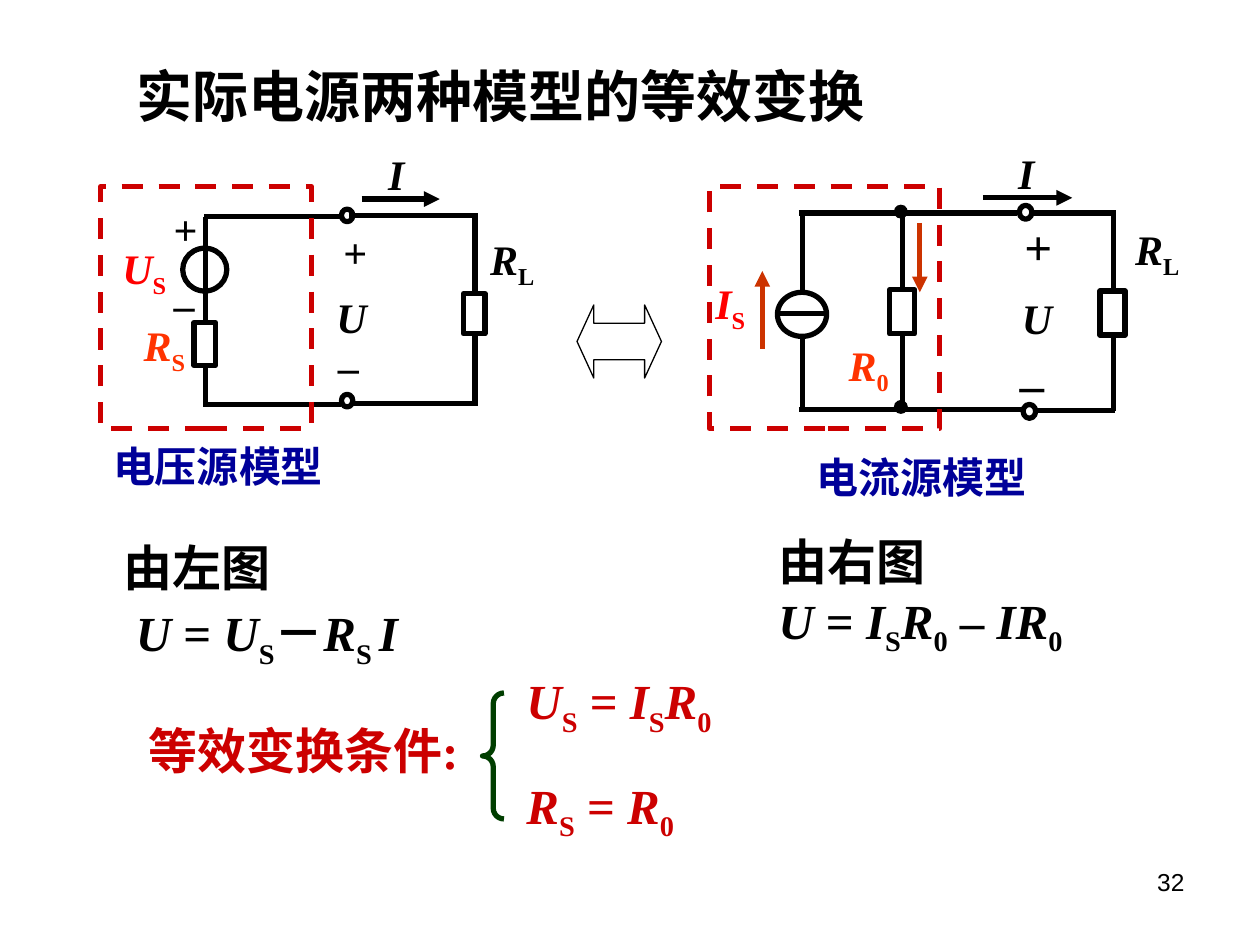
from dataclasses import dataclass

from lxml import etree
from pptx import Presentation
from pptx.dml.color import RGBColor
from pptx.enum.dml import MSO_LINE
from pptx.enum.shapes import MSO_CONNECTOR, MSO_SHAPE
from pptx.enum.text import MSO_ANCHOR, MSO_AUTO_SIZE, PP_ALIGN
from pptx.oxml.ns import qn
from pptx.util import Inches, Pt

LEFT, CENTER, RIGHT = PP_ALIGN.LEFT, PP_ALIGN.CENTER, PP_ALIGN.RIGHT
TOP, MIDDLE = MSO_ANCHOR.TOP, MSO_ANCHOR.MIDDLE
RECTANGLE, OVAL = MSO_SHAPE.RECTANGLE, MSO_SHAPE.OVAL


@dataclass(frozen=True)
class Theme:
    serif: str = "Times New Roman"
    sans: str = "Arial"
    black: str = "000000"
    red: str = "CC0000"
    source: str = "FF0000"
    resistor: str = "FF3300"
    current: str = "CC3300"
    caption: str = "000099"
    brace: str = "003E00"
    title: int = 32
    body: int = 28
    label: int = 24
    number: int = 14
    thick: float = 3
    thin: float = 0.75


theme = Theme()
presentation = Presentation()
presentation.slide_width, presentation.slide_height = Inches(10), Inches(7.5)
slide = presentation.slides.add_slide(presentation.slide_layouts[5])

# All places below are columns and rows of a 100 by 75 grid.
COLUMN = presentation.slide_width / 100
ROW = presentation.slide_height / 75


def grid(left, top, width, height):
    """Turn columns and rows into slide lengths."""
    return (round(left * COLUMN), round(top * ROW),
            round(width * COLUMN), round(height * ROW))


def write(box, lines, color=theme.black, size=theme.label, align=CENTER,
          anchor=MIDDLE, wrap=False, font=theme.serif, bold=True,
          spacing=None, gap=0, shape=None):
    """Write lines whose parts are split by |; / marks italic, _ subscript."""
    shape = shape or slide.shapes.add_textbox(*grid(*box))
    frame = shape.text_frame
    frame.word_wrap, frame.vertical_anchor = wrap, anchor
    frame.auto_size = MSO_AUTO_SIZE.NONE
    for index, line in enumerate(lines):
        paragraph = frame.add_paragraph() if index else frame.paragraphs[0]
        paragraph.alignment = align
        if spacing:
            paragraph.line_spacing = spacing
        if index and gap:
            paragraph.space_before = Pt(gap)
        paragraph.font.name, paragraph.font.size = font, Pt(size)
        paragraph.font.bold = bold
        paragraph.font.color.rgb = RGBColor.from_string(color)
        for part in line.split("|"):
            run = paragraph.add_run()
            run.text = part.lstrip("/_")
            if part.startswith("/"):
                run.font.italic = True
            elif part.startswith("_"):
                run._r.get_or_add_rPr().set("baseline", "-25000")
    return frame


# Title and slide number
title = slide.shapes.title
title.left, title.top, title.width, title.height = grid(9.8, 4.4, 66.8, 7.5)
write(None, ["实际电源两种模型的等效变换"], size=theme.title, align=LEFT,
      anchor=TOP, wrap=True, font=theme.sans, shape=title)
write((71.7, 68.3, 23.3, 5.2), ["32"], size=theme.number, align=RIGHT,
      anchor=TOP, wrap=True, font=theme.sans, bold=False)

# Wires and arrows: start column and row, end column and row
voltage_wires = [
    (37.7, 26.6, 37.7, 32.2), (37.7, 23.3, 37.7, 17.1),
    (27.7, 17.1, 37.9, 17.1), (27.9, 32, 37.9, 32),
    (16.3, 17.2, 16.3, 25.6), (16.3, 29, 16.3, 32.3),
    (16.2, 17.2, 27.1, 17.2), (16.3, 32.1, 27.1, 32.1),
]
current_wires = [
    (61.7, 24.9, 65.6, 24.9), (63.7, 26.7, 63.7, 32.7),
    (63.7, 17.1, 63.7, 23.2), (88.4, 26.5, 88.4, 32.6),
    (88.4, 23.1, 88.4, 17), (63.4, 16.9, 80.7, 16.9),
    (63.4, 32.5, 81.2, 32.5), (71.6, 26.4, 71.6, 32.5),
    (71.6, 23, 71.6, 16.9), (82.2, 32.6, 88.5, 32.6),
    (81.9, 16.9, 88.6, 16.9),
]
load_arrows = [(28.7, 15.8, 34.9, 15.8), (78, 15.7, 85.1, 15.7)]
source_arrows = [(73, 17.7, 73, 23.2), (60.5, 27.7, 60.5, 21.5)]

for lines, color, is_arrow in [
    (voltage_wires + current_wires, theme.black, False),
    (load_arrows, theme.black, True),
    (source_arrows, theme.current, True),
]:
    for ends in lines:
        connector = slide.shapes.add_connector(MSO_CONNECTOR.STRAIGHT, *grid(*ends))
        connector.line.width = Pt(theme.thick)
        connector.line.color.rgb = RGBColor.from_string(color)
        if is_arrow:
            etree.SubElement(connector.line._get_or_add_ln(), qn("a:tailEnd"),
                             type="triangle")
        etree.SubElement(connector._element.spPr, qn("a:effectLst"))

# Components, model frames, brace and double arrow
resistors = [(36.8, 23.3, 1.7, 3.2), (15.4, 25.6, 1.7, 3.4),
             (87.3, 23.1, 2, 3.5), (70.6, 23, 2, 3.5)]
sources = [(14.5, 19.7, 3.5, 3.4), (61.7, 23.2, 3.9, 3.5)]
terminals = [(27.1, 16.6, 0.9, 1), (27.1, 31.3, 0.9, 1),
             (80.9, 16.3, 1, 1.1), (81.2, 32.1, 1, 1.1)]
junctions = [(71, 16.3, 1, 1), (71, 31.8, 1, 1)]
model_frames = [(8, 14.8, 16.7, 19.2), (56.3, 14.8, 18.3, 19.2)]

for kind, boxes, color, width in [
    (RECTANGLE, resistors, theme.black, theme.thick),
    (OVAL, sources + terminals, theme.black, theme.thick),
    (OVAL, junctions, theme.black, theme.thin),
    (RECTANGLE, model_frames, theme.red, theme.thick),
    (MSO_SHAPE.LEFT_BRACE, [(38.3, 55, 1.7, 10)], theme.brace, theme.thick),
    (MSO_SHAPE.LEFT_RIGHT_ARROW, [(45.8, 24.2, 6.7, 5.8)], theme.black, theme.thin),
]:
    for box in boxes:
        shape = slide.shapes.add_shape(kind, *grid(*box))
        shape.shadow.inherit = False
        shape.line.color.rgb = RGBColor.from_string(color)
        shape.line.width = Pt(width)
        if box in junctions:
            shape.fill.solid()
            shape.fill.fore_color.rgb = RGBColor.from_string(color)
        else:
            shape.fill.background()
        if box in model_frames:
            shape.line.dash_style = MSO_LINE.DASH
        if kind == MSO_SHAPE.LEFT_BRACE:
            shape.adjustments[0] = 0.5
        if kind == MSO_SHAPE.LEFT_RIGHT_ARROW:
            shape.adjustments[1] = 0.23

# Circuit labels and captions
for box, text, color in [
    ((29.8, 11.3, 3.3, 5), "/I", theme.black),
    ((79.8, 11.2, 3.3, 5), "/I", theme.black),
    ((37.8, 18.3, 5.7, 5), "/R|_L", theme.black),
    ((89, 17.5, 5.7, 5), "/R|_L", theme.black),
    ((25.7, 22.6, 4.4, 5), "/U", theme.black),
    ((80.1, 22.7, 4.4, 5), "/U", theme.black),
    ((8.6, 19, 5.7, 5), "/U|_S", theme.source),
    ((55.7, 21.8, 4.5, 5), "/I|_S", theme.source),
    ((10.3, 25.1, 5.5, 5), "/R|_S", theme.resistor),
    ((66.3, 26.7, 5.3, 5), "/R|_0", theme.resistor),
    ((7.9, 34.5, 18.8, 5), "电压源模型", theme.caption),
    ((63.7, 35.3, 18.8, 5), "电流源模型", theme.caption),
]:
    write(box, [text], color)

# Polarity signs
write((12.8, 15.6, 3.5, 11), ["+", "–"], wrap=True, gap=14)
for box, sign, size in [
    ((25, 17.5, 6.4, 5), "+", theme.label),
    ((25.5, 26.5, 4.3, 5), "–", theme.label),
    ((79.3, 16.7, 6.2, 5.7), "+", theme.body),
    ((78.8, 27.6, 6.2, 5.7), "–", theme.body),
]:
    write(box, [sign], size=size, anchor=TOP, wrap=True)

# Equations
left_frame = write((8.8, 41.7, 27, 11.3),
                   ["由左图", "/U| = |/U|_S|－|/R|_S |/I"],
                   size=theme.body, align=LEFT, anchor=TOP, wrap=True, spacing=1.1)
left_frame.paragraphs[1]._p.get_or_add_pPr().set("marL", str(round(COLUMN)))
write((60.8, 41.7, 29.2, 10.3),
      ["由右图", "/U| = |/I|_S|/R|_0| – |/IR|_0"],
      size=theme.body, align=LEFT, anchor=TOP, wrap=True)
write((10.8, 56.7, 26.8, 5.7), ["等效变换条件:"], theme.red, theme.body,
      align=LEFT, anchor=TOP)
for row, equation in [(51.7, "/U|_S| = |/I|_S|/R|_0"), (60, "/R|_S| = |/R|_0")]:
    write((40.8, row, 22.5, 6.6), [equation], theme.red, theme.body,
          align=LEFT, anchor=TOP, wrap=True, spacing=1.2)

presentation.save("out.pptx")
